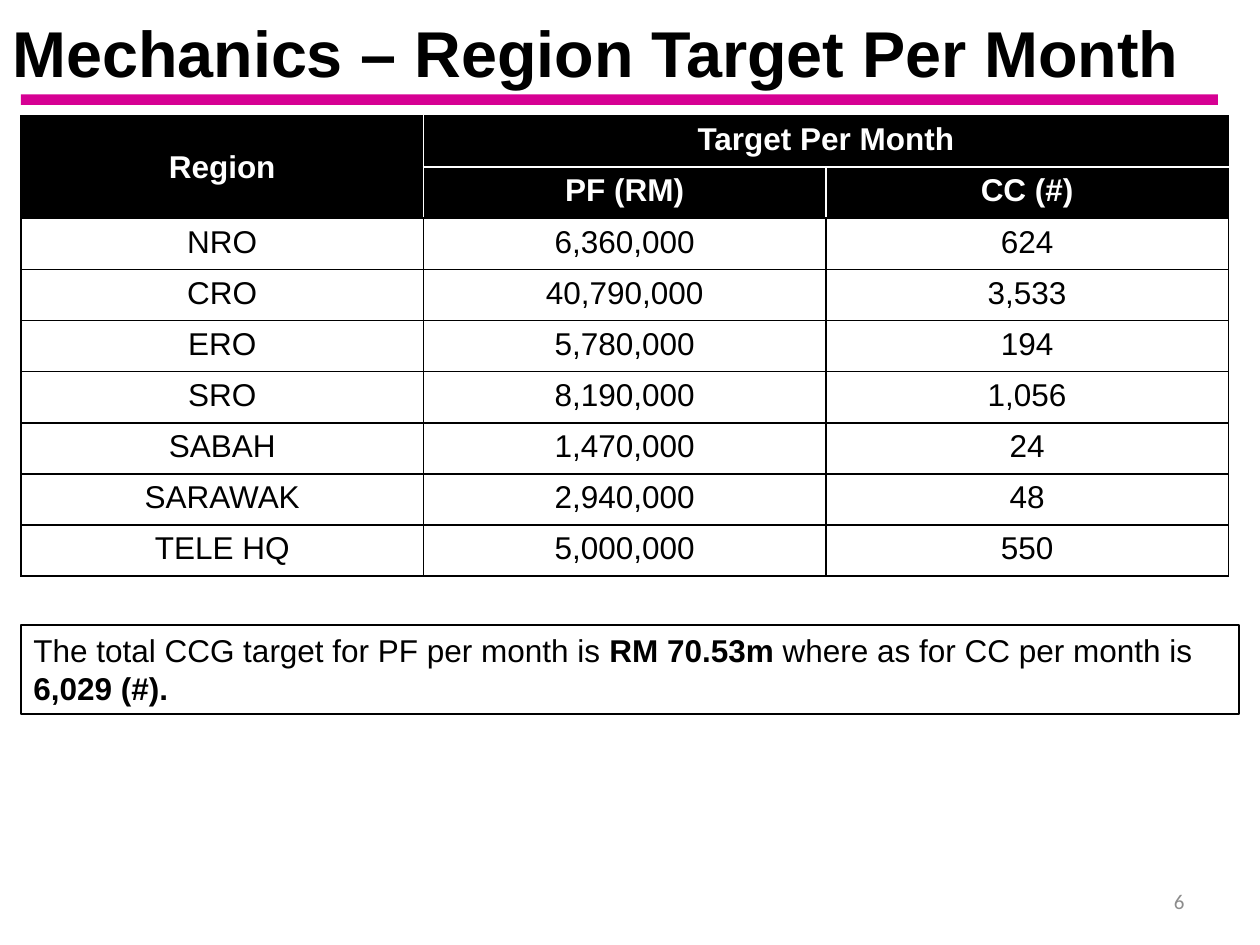
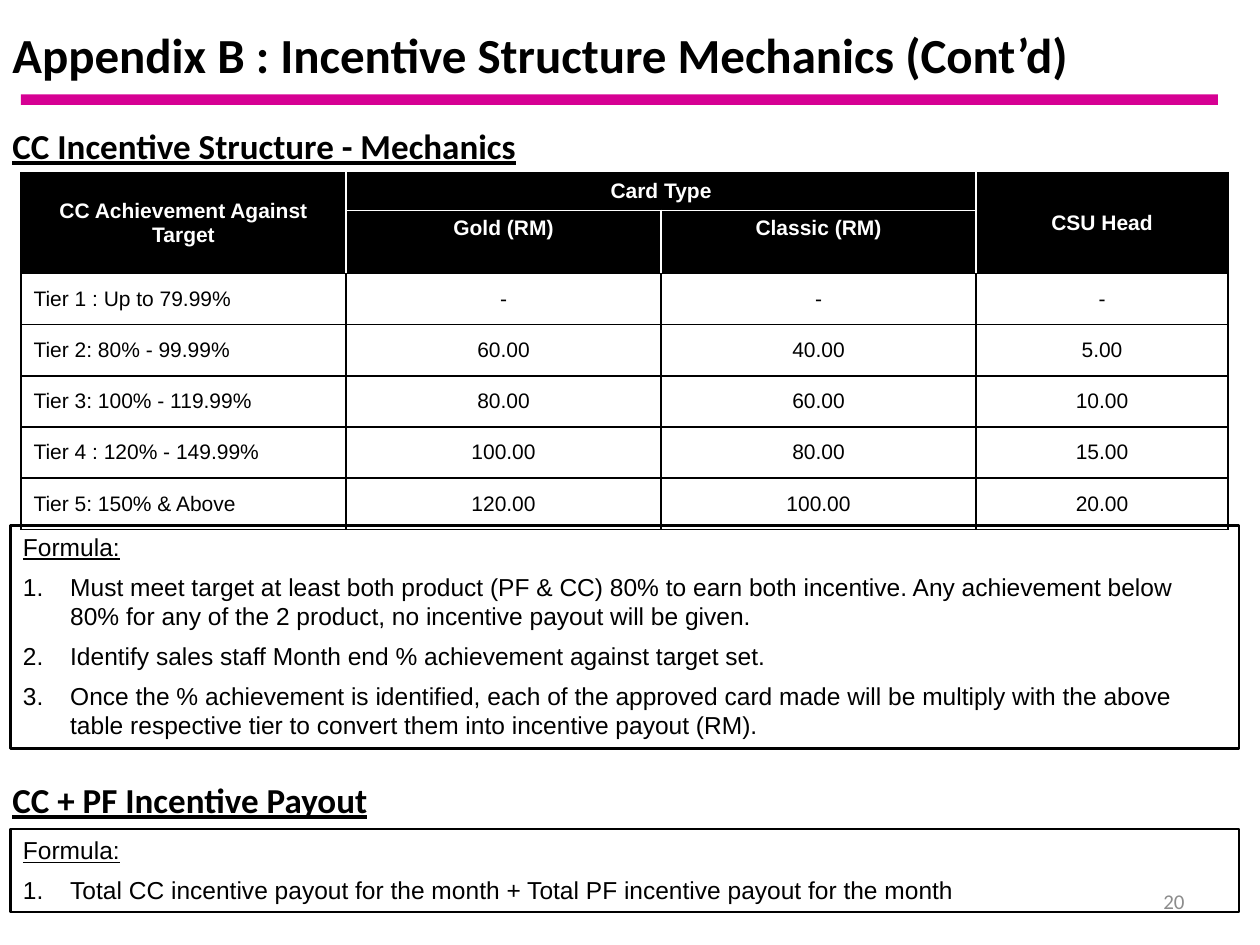
from lxml import etree
from pptx import Presentation, util as u
from pptx.dml.color import RGBColor
from pptx.enum import shapes, text
from pptx.oxml.ns import qn

WIDTH, HEIGHT = 10, 7.5
EDGE = WIDTH / 60
ROW = 0.406
COLORS = {"ink": "000000", "paper": "FFFFFF", "band": "D60093", "number": "8C8C8C"}
LEFT, CENTER, RIGHT = text.PP_ALIGN.LEFT, text.PP_ALIGN.CENTER, text.PP_ALIGN.RIGHT
TOP, MIDDLE = text.MSO_ANCHOR.TOP, text.MSO_ANCHOR.MIDDLE

HEADING = {"size": 20, "name": "Calibri", "bold": True, "underline": True}
NUMBER = {"size": 12, "name": "Calibri", "color": "number"}
NOTE = {"size": 18, "name": "Arial"}
FORMULA = {"size": 14, "name": "Arial"}

# None marks a cell covered by a merged neighbour.
REGION_TARGETS = [
    ["Region", "Target Per Month", None],
    [None, "PF (RM)", "CC (#)"],
    ["NRO", "6,360,000", "624"],
    ["CRO", "40,790,000", "3,533"],
    ["ERO", "5,780,000", "194"],
    ["SRO", "8,190,000", "1,056"],
    ["SABAH", "1,470,000", "24"],
    ["SARAWAK", "2,940,000", "48"],
    ["TELE HQ", "5,000,000", "550"],
]
TOTAL_TARGET = [
    ("The total CCG target for PF per month is ", False),
    ("RM 70.53m ", True),
    ("where as for CC per month is ", False),
    ("6,029 (#).", True),
]
CARD_TIERS = [
    ["CC Achievement Against Target", "Card Type", None, "CSU Head"],
    [None, "Gold (RM)", "Classic (RM)", None],
    ["Tier 1 : Up to 79.99%", "-", "-", "-"],
    ["Tier 2: 80% - 99.99%", "60.00", "40.00", "5.00"],
    ["Tier 3: 100% - 119.99%", "80.00", "60.00", "10.00"],
    ["Tier 4 : 120% - 149.99%", "100.00", "80.00", "15.00"],
    ["Tier 5: 150% & Above", "120.00", "100.00", "20.00"],
]
CARD_STEPS = [
    "Must meet target at least both product (PF & CC) 80% to earn both incentive. "
    "Any achievement below 80% for any of the 2 product, no incentive payout will be given.",
    "Identify sales staff Month end % achievement against target set.",
    "Once the % achievement is identified, each of the approved card made will be multiply "
    "with the above table respective tier to convert them into incentive payout (RM).",
]
PAYOUT_STEPS = ["Total CC incentive payout for the month + Total PF incentive payout for the month"]


def rgb(name):
    return RGBColor.from_string(COLORS[name])


def inches(*values):
    return [u.Inches(value) for value in values]


def style(font, size, color="ink", **looks):
    font.size = u.Pt(size)
    font.color.rgb = rgb(color)
    for key, value in looks.items():
        setattr(font, key, value)


def add_span(para, words, **looks):
    span = para.add_run()
    span.text = words
    style(span.font, **looks)


def add_label(page, area, words, looks, align=LEFT):
    frame = page.shapes.add_textbox(*inches(*area)).text_frame
    frame.word_wrap = True
    frame.vertical_anchor = MIDDLE
    para = frame.paragraphs[0]
    para.alignment = align
    add_span(para, words, **looks)


def add_block(page, area):
    box = page.shapes.add_shape(shapes.MSO_SHAPE.RECTANGLE, *inches(*area))
    box.shadow.inherit = False
    return box


def add_outlined_box(page, area, line_width):
    box = add_block(page, area)
    box.fill.background()
    box.line.color.rgb = rgb("ink")
    box.line.width = u.Pt(line_width)
    frame = box.text_frame
    frame.word_wrap = True
    frame.vertical_anchor = TOP
    frame.auto_size = text.MSO_AUTO_SIZE.SHAPE_TO_FIT_TEXT
    frame.paragraphs[0].alignment = LEFT
    return frame


def add_formula(page, top, height, steps):
    frame = add_outlined_box(page, (EDGE / 2, top, WIDTH - 1.5 * EDGE, height), 1.5)
    para = frame.paragraphs[0]
    para.space_after = u.Pt(6)
    add_span(para, "Formula:", underline=True, **FORMULA)
    for step in steps:
        para = frame.add_paragraph()
        props = para._p.get_or_add_pPr()
        indent = u.Inches(0.375)
        props.set("marL", str(indent))
        props.set("indent", str(-indent))
        etree.SubElement(props, qn("a:buAutoNum"), type="arabicPeriod")
        para.alignment = LEFT
        para.space_after = u.Pt(6)
        add_span(para, step, **FORMULA)


def add_border(cell, side, color):
    line = etree.SubElement(cell._tc.get_or_add_tcPr(), qn("a:ln" + side), w=str(u.Pt(1)))
    fill = etree.SubElement(line, qn("a:solidFill"))
    etree.SubElement(fill, qn("a:srgbClr"), val=COLORS[color])


def add_grid(page, top, columns, heights, rows, merges, size, body_anchor, first_align):
    """Draw a table with a two-row black header whose inner rules are white."""
    area = inches(EDGE, top, sum(columns), sum(heights))
    table = page.shapes.add_table(len(rows), len(columns), *area).table
    table.horz_banding = False
    for column, width in zip(table.columns, columns):
        column.width = u.Inches(width)
    for row, height in zip(table.rows, heights):
        row.height = u.Inches(height)
    for start, end in merges:
        table.cell(*start).merge(table.cell(*end))

    for r, row in enumerate(rows):
        header = r < 2
        for c, words in enumerate(row):
            cell = table.cell(r, c)
            inner = {
                "L": c > 0,
                "R": c + cell.span_width < len(columns),
                "T": r > 0,
                "B": r + cell.span_height < 2,
            }
            for side, is_inner in inner.items():
                add_border(cell, side, "paper" if header and is_inner else "ink")
            cell.fill.solid()
            cell.fill.fore_color.rgb = rgb("ink" if header else "paper")
            if words is None:
                continue
            tall = cell.span_height > 1
            cell.vertical_anchor = MIDDLE if tall else TOP if header else body_anchor
            para = cell.text_frame.paragraphs[0]
            para.alignment = CENTER if header or c else first_align
            add_span(para, words, size=size, name="Arial", bold=header,
                     color="paper" if header else "ink")


def add_page(deck, title, title_top, title_width, title_looks):
    page = deck.slides.add_slide(deck.slide_layouts[6])
    add_label(page, (0, title_top, title_width, 0.82), title, {"bold": True, **title_looks})
    band = add_block(page, (EDGE, HEIGHT / 10, WIDTH - 3 * EDGE, EDGE / 2))
    band.fill.solid()
    band.fill.fore_color.rgb = rgb("band")
    band.line.fill.background()
    return page


def add_page_number(page, number):
    add_label(page, (7.17, 6.95, 2.33, 0.4), number, NUMBER, RIGHT)


def build_region_page(deck):
    page = add_page(deck, "Mechanics – Region Target Per Month", 0, 9.75,
                    {"size": 37, "name": "Arial"})
    add_grid(page, 0.92, [(WIDTH - 2.5 * EDGE) / 3] * 3, [ROW] * len(REGION_TARGETS),
             REGION_TARGETS, [((0, 0), (1, 0)), ((0, 1), (0, 2))], 18, TOP, CENTER)
    para = add_outlined_box(page, (EDGE, 4.96, WIDTH - 2 * EDGE, 0.71), 1).paragraphs[0]
    for words, bold in TOTAL_TARGET:
        add_span(para, words, bold=bold, **NOTE)
    add_page_number(page, "6")


def build_incentive_page(deck):
    page = add_page(deck, "Appendix B : Incentive Structure Mechanics (Cont’d)", 0.02, 9.08,
                    {"size": 28, "name": "Calibri"})
    add_label(page, (0, 0.83, 5.25, 0.65), "CC Incentive Structure - Mechanics", HEADING)
    add_grid(page, 1.37, [2.58, 2.5, 2.5, 2], [0.29, 0.47] + [ROW] * 5, CARD_TIERS,
             [((0, 0), (1, 0)), ((0, 1), (0, 2)), ((0, 3), (1, 3))], 12, MIDDLE, LEFT)
    add_formula(page, 4.17, 1.77, CARD_STEPS)
    add_label(page, (0, 6.02, 5.25, 0.65), "CC + PF Incentive Payout", HEADING)
    add_formula(page, 6.58, 0.66, PAYOUT_STEPS)
    add_page_number(page, "20")


def main():
    deck = Presentation()
    deck.slide_width, deck.slide_height = inches(WIDTH, HEIGHT)
    build_region_page(deck)
    build_incentive_page(deck)
    deck.save("out.pptx")


if __name__ == "__main__":
    main()
